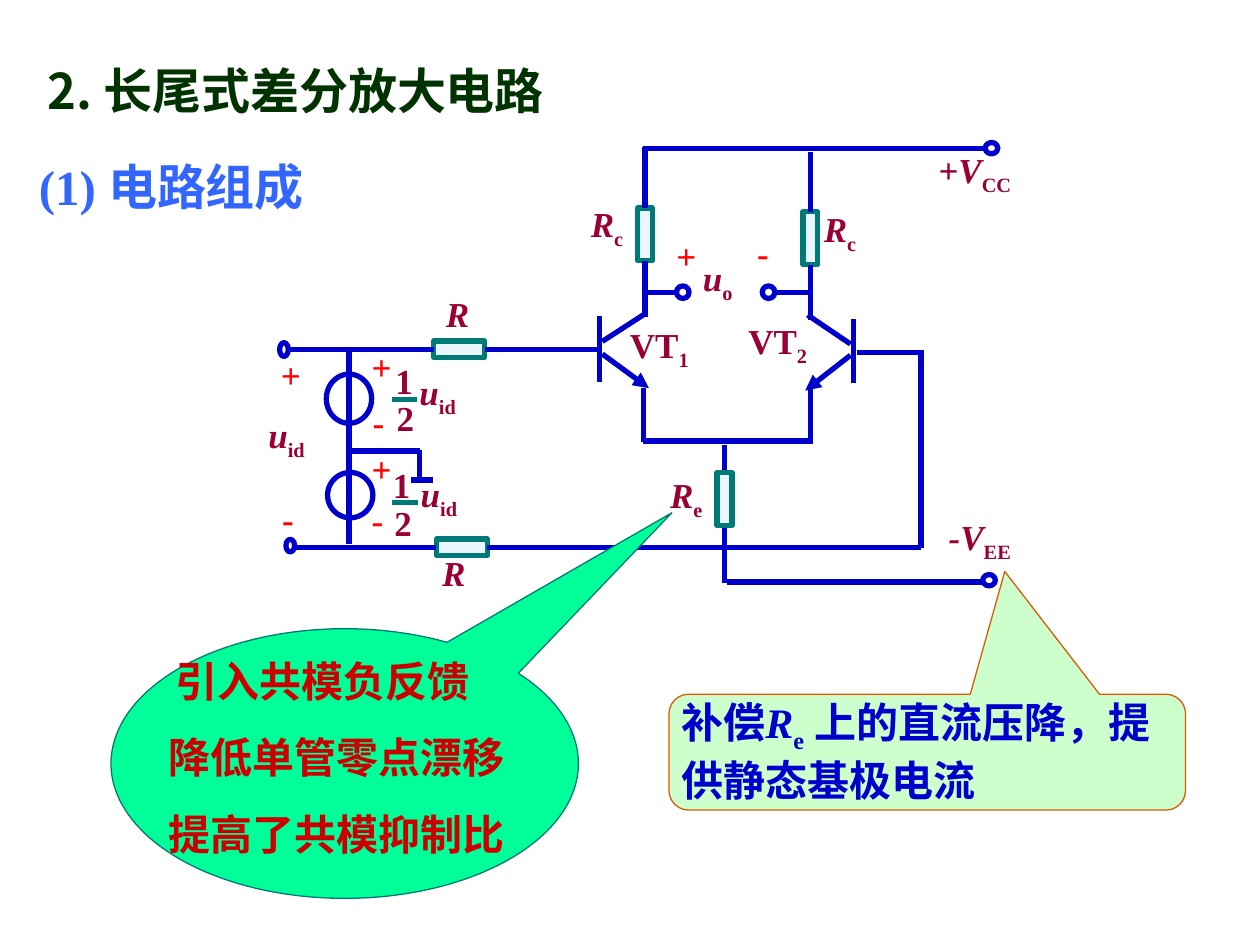
from lxml import etree
from pptx import Presentation
from pptx.dml.color import RGBColor
from pptx.enum import shapes, text
from pptx.oxml import ns
from pptx.util import Pt

WIRE = RGBColor(0x00, 0x00, 0xCC)
TEAL = RGBColor(0x00, 0x7A, 0x77)
BODY = RGBColor(0xEB, 0xF7, 0xFF)
LABEL = RGBColor(0x99, 0x00, 0x33)
SIGN = RGBColor(0xFF, 0x00, 0x00)
HEADING = RGBColor(0x00, 0x33, 0x00)
SUBHEADING = RGBColor(0x33, 0x66, 0xFF)
NOTE = RGBColor(0xCC, 0x00, 0x00)
MINT = RGBColor(0xCC, 0xFF, 0xCC)
GREEN = RGBColor(0x00, 0xFF, 0x99)
ORANGE = RGBColor(0xDC, 0x59, 0x00)
SERIF = "Times New Roman"
SANS = "Noto Sans CJK SC"

WIRES = [
    (342.7, 180.7, 342.7, 218.2), (344.2, 195.1, 368.6, 179.3),
    (487.8, 182.2, 487.8, 218.9), (486, 196.6, 461.5, 180),
    (367.9, 221.8, 367.9, 252.7), (463, 221.8, 463, 252.7),
    (367.2, 252, 464.4, 252), (370.1, 167, 387.4, 167),
    (463, 167, 442.8, 167), (489.6, 201.6, 527.8, 201.6),
    (526.3, 201.6, 526.3, 313.2), (414, 254.2, 414, 333.4),
    (367.2, 85, 564.5, 85), (199.4, 198, 199.4, 311),
    (200.2, 257.8, 239.8, 257.8), (239.8, 257, 239.8, 273.6),
    (234.7, 274.3, 247.7, 274.3), (415.4, 332.6, 561.6, 332.6),
]
EMITTERS = [(344.2, 202.3, 370.8, 221.8), (486, 203, 460.1, 223.2)]
FRACTION_BARS = [(223.9, 228.2, 238.3, 228.2), (223.9, 287.3, 239, 287.3)]
RINGS = [
    (386.6, 163.4, 7.2, 7.2), (435.6, 163.4, 7.2, 7.2),
    (159.8, 195.8, 5, 7.9), (163.4, 308.2, 5, 7.2),
    (563, 81.4, 7.2, 6.5), (561.6, 328.3, 7.2, 6.5),
    (187.2, 270, 25.9, 25.9), (186.5, 213.8, 25.9, 28.1),
]
RESISTORS = [
    ((368.6, 133.9), True, (368.6, 84.2), (368.6, 181.4)),
    ((463.1, 136.1), True, (463.1, 87.1), (463.1, 182.9)),
    ((262.4, 199.6), False, (165.6, 199.6), (343.4, 199.6)),
    ((263.9, 312.8), False, (167, 312.8), (526.3, 312.8)),
    ((414, 285.1), True, None, None),
]
SIGNS = [
    (379.4, 130.3, "+"), (425.5, 128.9, "-"), (205.2, 252, "+"),
    (205.2, 281.5, "-"), (153.4, 198.7, "+"), (154.1, 280.8, "-"),
    (205.2, 193.7, "+"), (205.9, 225.4, "-"),
]
SYMBOLS = [
    (394.6, 143.3, 41, "u", "o"), (146.2, 232.6, 43, "u", "id"),
    (232.6, 208.1, 43, "u", "id"), (233.3, 266.4, 43, "u", "id"),
    (529.2, 81.4, 72, "+V", "CC"), (535, 290.9, 63, "-V", "EE"),
    (245.5, 311.8, 35, "R", ""), (247.7, 163.4, 31, "R", ""),
    (330.5, 112.3, 43, "R", "c"), (463.7, 115.2, 41, "R", "c"),
    (375.8, 267.1, 43, "R", "e"),
]
UPRIGHTS = [
    (352.8, 181.4, 60, "VT", "1"), (420.5, 179.3, 57, "VT", "2"),
    (218.9, 201.6, 32, "1", ""), (219.6, 223.2, 32, "2", ""),
    (217.4, 261.4, 35, "1", ""), (218.2, 283, 35, "2", ""),
]


def add_line(page, ends, color=WIRE, arrow=False):
    line = page.shapes.add_connector(
        shapes.MSO_CONNECTOR.STRAIGHT, *[Pt(value) for value in ends])
    line.line.color.rgb = color
    line.line.width = Pt(3)
    properties = line._element.spPr
    if arrow:
        etree.SubElement(properties.find(ns.qn("a:ln")), ns.qn("a:tailEnd"), type="triangle")
    etree.SubElement(properties, ns.qn("a:effectLst"))
    return line


def add_figure(page, kind, place, fill, outline, width):
    figure = page.shapes.add_shape(kind, *[Pt(value) for value in place])
    figure.shadow.inherit = False
    if fill is None:
        figure.fill.background()
    else:
        figure.fill.solid()
        figure.fill.fore_color.rgb = fill
    figure.line.color.rgb = outline
    figure.line.width = Pt(width)
    return figure


def add_resistor(page, center, upright, source, target):
    width, height = (8.6, 30.2) if upright else (29, 9.4)
    place = (center[0] - width / 2, center[1] - height / 2, width, height)
    resistor = add_figure(
        page, shapes.MSO_SHAPE.RECTANGLE, place, BODY, TEAL, 3)
    sites = (0, 2) if upright else (1, 3)
    for end, site in zip((source, target), sites):
        if end:
            add_line(page, (*end, *center)).end_connect(resistor, site)


def add_callout(page, kind, place, fill, outline, adjustments):
    callout = add_figure(page, kind, place, fill, outline, 0.75)
    for index, value in enumerate(adjustments):
        callout.adjustments[index] = value


def add_span(para, words, size, color, font=SERIF, italic=False, lowered=False):
    span = para.add_run()
    span.text = words
    span.font.size = Pt(size)
    span.font.name = font
    span.font.bold = True
    span.font.italic = italic
    span.font.color.rgb = color
    properties = span.font._element
    etree.SubElement(properties, ns.qn("a:ea"), typeface=SANS)
    if lowered:
        properties.set("baseline", "-25000")


def add_box(page, left, top, width, height):
    box = page.shapes.add_textbox(Pt(left), Pt(top), Pt(width), Pt(height))
    box.text_frame.word_wrap = True
    return box.text_frame


def add_label(page, left, top, width, base, lowered="", color=LABEL, italic=False):
    para = add_box(page, left, top, width, 32).paragraphs[0]
    add_span(para, base, 20, color, italic=italic)
    if lowered:
        add_span(para, lowered, 20, color, lowered=True)


def add_title(page):
    title = page.shapes.title
    title.left, title.top, title.width, title.height = Pt(20), Pt(31), Pt(382), Pt(41)
    frame = title.text_frame
    frame.vertical_anchor = text.MSO_ANCHOR.TOP
    frame.auto_size = text.MSO_AUTO_SIZE.NONE
    para = frame.paragraphs[0]
    para.alignment = text.PP_ALIGN.LEFT
    add_span(para, "2. 长尾式差分放大电路", 28, HEADING, SANS)


def add_circuit(page):
    for ends in WIRES:
        add_line(page, ends)
    for ends in EMITTERS:
        add_line(page, ends, arrow=True)
    for ends in FRACTION_BARS:
        add_line(page, ends, TEAL)
    for place in RINGS:
        add_figure(page, shapes.MSO_SHAPE.OVAL, place, None, WIRE, 3)
    for resistor in RESISTORS:
        add_resistor(page, *resistor)
    for left, top, sign in SIGNS:
        add_label(page, left, top, 29, sign, color=SIGN)
    for symbol in SYMBOLS:
        add_label(page, *symbol, italic=True)
    for upright in UPRIGHTS:
        add_label(page, *upright)


def add_notes_on_circuit(page):
    add_callout(page, shapes.MSO_SHAPE.ROUNDED_RECTANGULAR_CALLOUT,
                (382.3, 396.7, 295.2, 66.2), MINT, ORANGE, (0.15, -1.56, 0.17))
    add_callout(page, shapes.MSO_SHAPE.OVAL_CALLOUT,
                (63.4, 359.3, 267.1, 154.1), GREEN, TEAL, (0.7, -0.93))
    frame = add_box(page, 89.3, 370.8, 253.4, 127.4)
    for index, words in enumerate(("引入共模负反馈", "降低单管零点漂移", "提高了共模抑制比")):
        para = frame.add_paragraph() if index else frame.paragraphs[0]
        if index:
            para.space_before = Pt(15)
        else:
            para._p.get_or_add_pPr().set("indent", str(Pt(4)))
        add_span(para, words, 24, NOTE)
    para = add_box(page, 382.3, 394.6, 285.8, 69.1).paragraphs[0]
    add_span(para, "补偿", 24, WIRE)
    add_span(para, "R", 24, WIRE, italic=True)
    add_span(para, "e", 24, WIRE, lowered=True)
    add_span(para, " 上的直流压降，提供静态基极电流", 24, WIRE)


def main():
    deck = Presentation()
    deck.slide_width, deck.slide_height = Pt(720), Pt(540)
    page = deck.slides.add_slide(deck.slide_layouts[5])
    add_title(page)
    para = add_box(page, 15.1, 85.7, 311, 41).paragraphs[0]
    add_span(para, "(1) 电路组成", 28, SUBHEADING)
    add_circuit(page)
    add_notes_on_circuit(page)
    deck.save("out.pptx")


if __name__ == "__main__":
    main()
